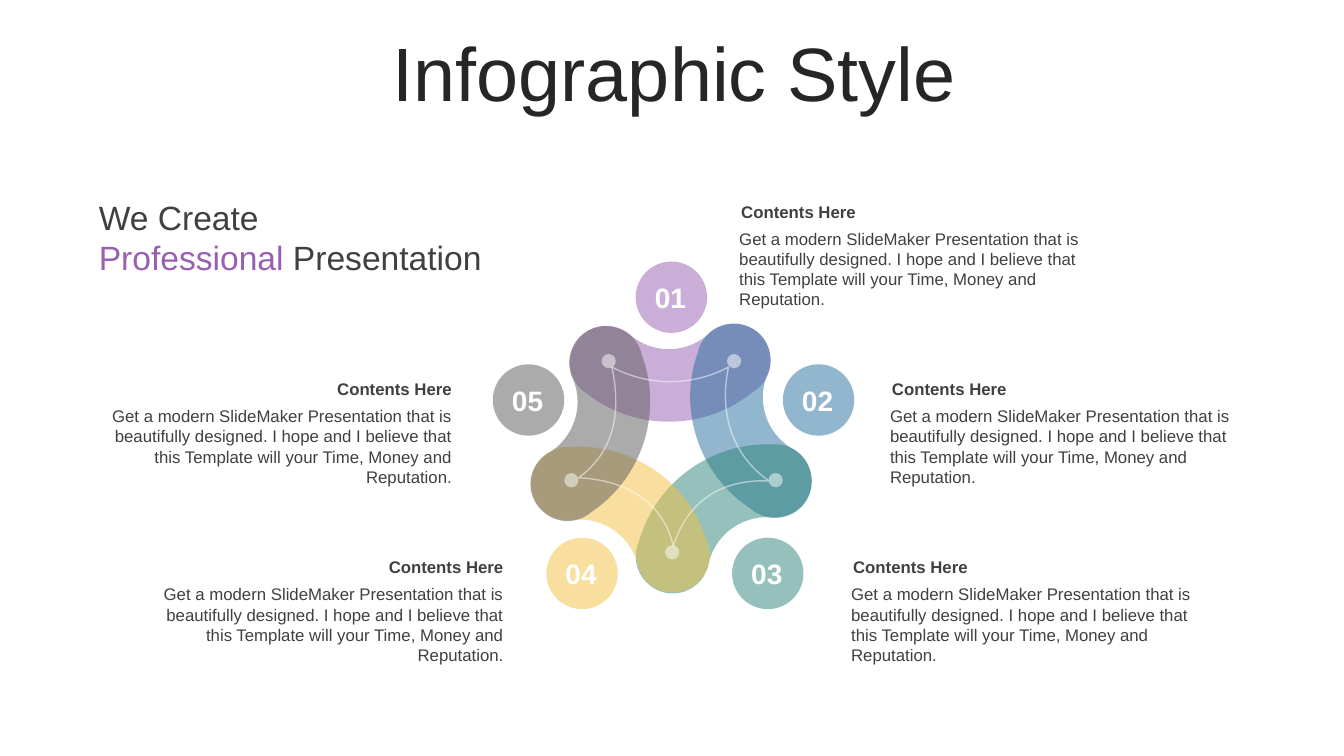
from lxml.etree import SubElement
from pptx import Presentation
from pptx.dml.color import RGBColor
from pptx.enum.shapes import MSO_SHAPE
from pptx.enum.text import MSO_ANCHOR, PP_ALIGN
from pptx.oxml.ns import qn
from pptx.util import Cm, Pt

INK = RGBColor(0x26, 0x26, 0x26)
GRAY = RGBColor(0x40, 0x40, 0x40)
WHITE = RGBColor(0xFF, 0xFF, 0xFF)
PURPLE = RGBColor(0x99, 0x5F, 0xB2)
BLUE = RGBColor(0x25, 0x6E, 0x9C)
TEAL = RGBColor(0x2D, 0x83, 0x7B)
YELLOW = RGBColor(0xF3, 0xC0, 0x40)
SLATE = RGBColor(0x59, 0x59, 0x59)

LEFT, CENTER, RIGHT = PP_ALIGN.LEFT, PP_ALIGN.CENTER, PP_ALIGN.RIGHT
BODY = ("Get a modern SlideMaker Presentation that is beautifully designed. "
        "I hope and I believe that this Template will your Time, Money and Reputation.")

PETAL = [
    (1.61, -1.23),
    (2.12, -1.23), (2.53, -0.83), (2.53, -0.29),
    (2.53, 0.04), (2.35, 0.34), (2.07, 0.5),
    (0.88, 1.46), (-0.85, 1.49), (-2.07, 0.55),
    (-2.35, 0.39), (-2.53, 0.09), (-2.53, -0.24),
    (-2.53, -0.75), (-2.12, -1.18), (-1.61, -1.18),
    (-1.36, -1.18), (-1.13, -1.08), (-0.95, -0.9),
    (-0.34, -0.44), (0.5, -0.5), (1.03, -1.03),
    (1.21, -1.16), (1.38, -1.23), (1.61, -1.23),
]
STAR = [
    (15.42, 9.25),
    (16.33, 9.73), (17.42, 9.75), (18.36, 9.25),
    (18.14, 10.29), (18.36, 11.4), (19.38, 12.12),
    (18.19, 12.07), (17.32, 12.62), (16.97, 13.77),
    (16.71, 12.6), (15.7, 12.09), (14.58, 12.04),
    (15.47, 11.4), (15.67, 10.39), (15.42, 9.25),
]
PETALS = [
    (16.89, 9.39, 0, PURPLE),
    (18.74, 10.68, 72.2, BLUE),
    (18.08, 12.84, 144.6, TEAL),
    (15.8, 12.86, 215.3, YELLOW),
    (15.05, 10.76, 288.6, SLATE),
]
BADGES = [
    (16.02, 6.59, PURPLE),
    (19.73, 9.18, BLUE),
    (18.45, 13.55, TEAL),
    (13.77, 13.55, YELLOW),
    (12.42, 9.18, SLATE),
]
DOTS = [(15.16, 8.92), (18.32, 8.92), (19.37, 11.92), (16.76, 13.74), (14.22, 11.92)]
CONTENTS = [
    (18.43, 4.95, 5.64, LEFT),
    (22.23, 9.42, 9.3, LEFT),
    (21.25, 13.91, 9.3, LEFT),
    (3.69, 13.91, 9.3, RIGHT),
    (2.39, 9.42, 9.3, RIGHT),
]


def flatten(points, steps=16):
    result = [points[0]]
    for i in range(0, len(points) - 1, 3):
        a, b, c, d = points[i:i + 4]
        for k in range(1, steps + 1):
            t = k / steps
            u = 1 - t
            result.append(tuple(
                u ** 3 * a[n] + 3 * u * u * t * b[n] + 3 * u * t * t * c[n] + t ** 3 * d[n]
                for n in (0, 1)))
    return result


class Deck:
    font = "Arial"
    opacity = "50000"

    def __init__(self):
        self.prs = Presentation()
        self.prs.slide_width, self.prs.slide_height = Cm(33.87), Cm(19.05)
        self.s = self.prs.slides.add_slide(self.prs.slide_layouts[6])

    def text(self, box, *lines, size=12, color=GRAY, bold=False, align=LEFT,
             insets=(0.25, 0.13, 0.3, 0.13), anchor=MSO_ANCHOR.TOP, spacing=None):
        tf = self.s.shapes.add_textbox(*map(Cm, box)).text_frame
        tf.word_wrap = True
        tf.vertical_anchor = anchor
        tf.margin_left, tf.margin_top, tf.margin_right, tf.margin_bottom = map(Cm, insets)
        for i, line in enumerate(lines):
            p = tf.add_paragraph() if i else tf.paragraphs[0]
            p.alignment = align
            p.line_spacing = spacing
            for words, tint in [(line, color)] if isinstance(line, str) else line:
                r = p.add_run()
                r.text = words
                r.font.name, r.font.size, r.font.bold = self.font, Pt(size), bold
                r.font.color.rgb = tint

    def paint(self, sp, fill=None, line=None):
        sp.shadow.inherit = False
        if fill is None:
            sp.fill.background()
        else:
            sp.fill.solid()
            sp.fill.fore_color.rgb = fill
        if line is None:
            sp.line.fill.background()
        else:
            sp.line.color.rgb = line
            sp.line.width = Pt(1)
        for clr in sp.element.iter(qn("a:srgbClr")):
            SubElement(clr, qn("a:alpha")).set("val", self.opacity)

    def shape(self, kind, x, y, size, fill):
        self.paint(self.s.shapes.add_shape(kind, Cm(x), Cm(y), Cm(size), Cm(size)), fill)

    def outline(self, points, x=0, y=0, angle=0, fill=None, line=None):
        start, *rest = [(Cm(x + px), Cm(y + py)) for px, py in flatten(points)]
        builder = self.s.shapes.build_freeform(*start)
        builder.add_line_segments(rest, close=True)
        sp = builder.convert_to_shape()
        self.bend(sp, [(Cm(x + px) - sp.left, Cm(y + py) - sp.top) for px, py in points])
        sp.rotation = angle
        self.paint(sp, fill, line)

    def bend(self, sp, points):
        route = next(sp.element.iter(qn("a:path")))
        for step in list(route):
            route.remove(step)
        groups = [("a:moveTo", points[:1])]
        groups += [("a:cubicBezTo", points[i:i + 3]) for i in range(1, len(points), 3)]
        for tag, group in groups:
            step = SubElement(route, qn(tag))
            for px, py in group:
                pt = SubElement(step, qn("a:pt"))
                pt.set("x", str(px))
                pt.set("y", str(py))
        SubElement(route, qn("a:close"))


def main():
    deck = Deck()
    deck.text((0.94, 0.94, 32.16, 2.01), "Infographic Style", size=54, color=INK,
              align=CENTER, anchor=MSO_ANCHOR.MIDDLE, spacing=0.9)
    for x, y, width, align in CONTENTS:
        deck.text((x, y, width, 0.77), "Contents Here", bold=True, align=align)
        deck.text((x, y + 0.68, 9.3, 2.31), BODY, align=align, insets=(0.2, 0.13, 0.3, 0.13))
    deck.text((2.29, 4.95, 10.57, 2.06), "We Create",
              [("Professional ", PURPLE), ("Presentation", GRAY)],
              size=24, insets=(0.2, 0, 0.1, 0))
    for x, y, angle, color in PETALS:
        deck.outline(PETAL, x, y, angle, fill=color)
    for x, y, color in BADGES:
        deck.shape(MSO_SHAPE.OVAL, x, y, 1.8, color)
    for number, (x, y, _) in enumerate(BADGES, 1):
        deck.text((x + 0.05, y + 0.35, 1.7, 1.12), f"{number:02}", size=20,
                  color=WHITE, bold=True, align=CENTER)
    for x, y in DOTS:
        deck.shape(MSO_SHAPE.FLOWCHART_CONNECTOR, x, y, 0.36, WHITE)
    deck.outline(STAR, line=WHITE)
    deck.prs.save("out.pptx")


if __name__ == "__main__":
    main()
